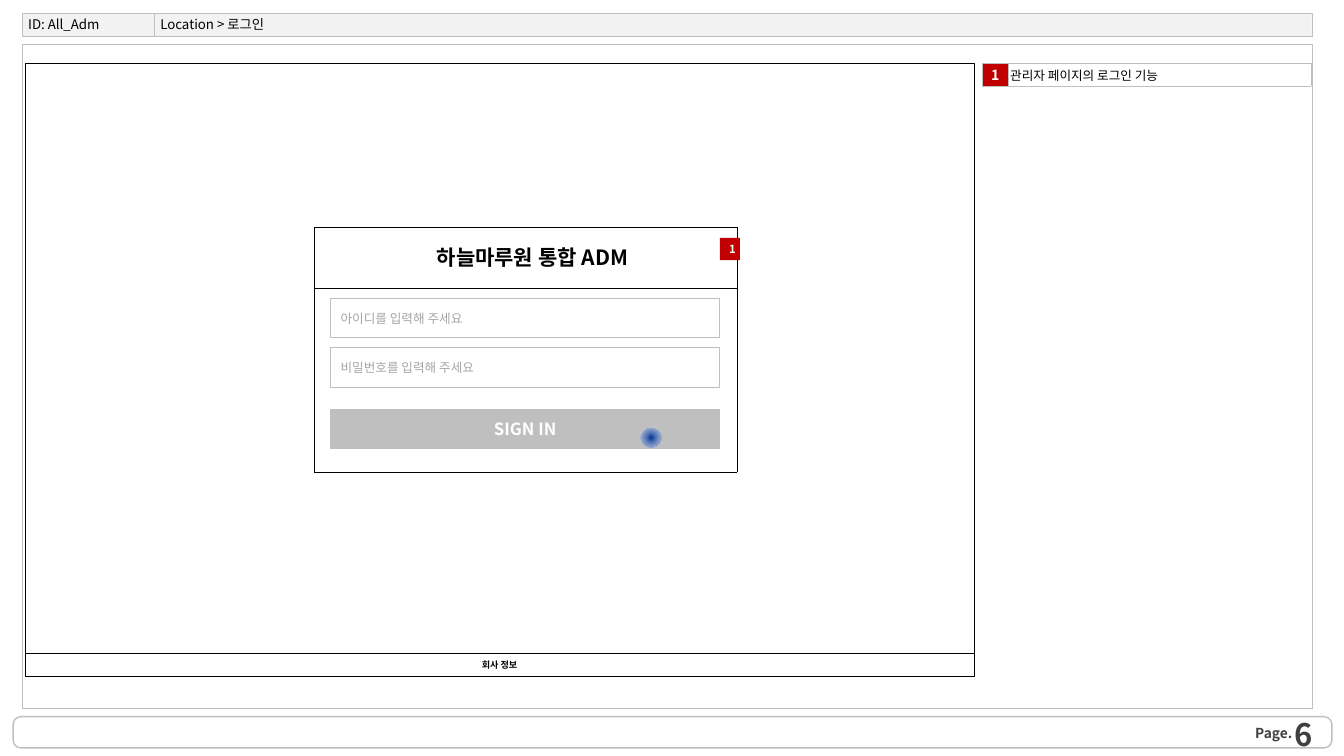
from lxml import etree
from pptx import Presentation
from pptx.dml.color import RGBColor
from pptx.enum import shapes, text
from pptx.oxml import ns
from pptx.util import Inches, Pt

FONT = "Noto Sans CJK KR"
BLACK = RGBColor(0x00, 0x00, 0x00)
WHITE = RGBColor(0xFF, 0xFF, 0xFF)
DARK = RGBColor(0x40, 0x40, 0x40)
HINT = RGBColor(0xA6, 0xA6, 0xA6)
GREY = RGBColor(0xBF, 0xBF, 0xBF)
PALE = RGBColor(0xF2, 0xF2, 0xF2)
RED = RGBColor(0xC0, 0x00, 0x00)
CORE = RGBColor(0x00, 0x33, 0x99)
GLOW = RGBColor(0xC2, 0xD1, 0xED)

SCREEN_ID = "ID: All_Adm"
LOCATION = "Location > 로그인"
LOGIN_TITLE = "하늘마루원 통합 ADM"
HINTS = ["아이디를 입력해 주세요", "비밀번호를 입력해 주세요"]
SIGN_IN = "SIGN IN"
COMPANY = "회사 정보"
NOTES = [("1", "관리자 페이지의 로그인 기능")]
PAGE_LABEL, PAGE_NUMBER = "Page.", "6"

LEFT, CENTER, RIGHT = text.PP_ALIGN.LEFT, text.PP_ALIGN.CENTER, text.PP_ALIGN.RIGHT
MIDDLE = text.MSO_ANCHOR.MIDDLE
RECT = shapes.MSO_SHAPE.RECTANGLE

prs = Presentation()
prs.slide_width, prs.slide_height = Inches(13.33), Inches(7.5)
slide = prs.slides.add_slide(prs.slide_layouts[5])


def write(frame, words, size, color=BLACK, bold=False, align=LEFT):
    paragraph = frame.paragraphs[0]
    paragraph.alignment = align
    run = paragraph.add_run()
    run.text = words
    run.font.size, run.font.bold, run.font.name = Pt(size), bold, FONT
    run.font.color.rgb = color
    etree.SubElement(run.font._element, ns.qn("a:ea"), typeface=FONT)


def set_frame(frame, insets):
    frame.word_wrap = True
    frame.auto_size = text.MSO_AUTO_SIZE.NONE
    frame.vertical_anchor = MIDDLE
    (frame.margin_left, frame.margin_top,
     frame.margin_right, frame.margin_bottom) = map(Inches, insets)


def box(at, fill=None, line=None, width=0.25, kind=RECT):
    shape = slide.shapes.add_shape(kind, *map(Inches, at))
    shape.shadow.inherit = False
    if fill is None:
        shape.fill.background()
    else:
        shape.fill.solid()
        shape.fill.fore_color.rgb = fill
    if line is None:
        shape.line.fill.background()
    else:
        shape.line.color.rgb = line
        shape.line.width = Pt(width)
    set_frame(shape.text_frame, (0.1, 0, 0.1, 0))
    return shape


def label(at, words, size, insets=(0, 0, 0, 0), **fmt):
    frame = slide.shapes.add_textbox(*map(Inches, at)).text_frame
    set_frame(frame, insets)
    write(frame, words, size, **fmt)


def grid(left, top, widths, heights, border):
    """Add a plain white table with thin borders on every side."""
    table = slide.shapes.add_table(
        len(heights), len(widths), Inches(left), Inches(top),
        Inches(sum(widths)), Inches(sum(heights))).table
    table.first_row = table.horz_banding = False
    for column, width in zip(table.columns, widths):
        column.width = Inches(width)
    for row, height in zip(table.rows, heights):
        row.height = Inches(height)
    for cell in table.iter_cells():
        props = cell._tc.get_or_add_tcPr()
        for side in ("a:lnL", "a:lnR", "a:lnT", "a:lnB"):
            line = etree.SubElement(props, ns.qn(side), w=str(Pt(0.25)))
            solid = etree.SubElement(line, ns.qn("a:solidFill"))
            etree.SubElement(solid, ns.qn("a:srgbClr"), val=str(border))
        cell.fill.solid()
        cell.fill.fore_color.rgb = WHITE
        cell.vertical_anchor = MIDDLE
        cell.margin_left = cell.margin_right = Inches(0.02)
        cell.margin_top = cell.margin_bottom = Inches(0.01)
    return table


def glow(shape):
    """Fill with a radial gradient that fades outwards."""
    shape.fill.gradient()
    for stop, color, position in zip(shape.fill.gradient_stops, (CORE, GLOW), (0, 1)):
        stop.color.rgb = color
        stop.position = position
    gradient = shape._element.spPr.find(ns.qn("a:gradFill"))
    outer = gradient.findall(".//" + ns.qn("a:srgbClr"))[-1]
    etree.SubElement(outer, ns.qn("a:alpha"), val="50000")
    linear = gradient.find(ns.qn("a:lin"))
    radial = etree.Element(ns.qn("a:path"), path="circle")
    etree.SubElement(radial, ns.qn("a:fillToRect"),
                     l="50000", t="50000", r="50000", b="50000")
    gradient.replace(linear, radial)


# Page frame
footer = box((0.13, 7.11, 13.08, 0.31), line=GREY, width=1,
             kind=shapes.MSO_SHAPE.ROUNDED_RECTANGLE)
footer.adjustments[0] = 0.25
box((0.22, 0.44, 12.79, 6.59), line=GREY)
for left, width, words in [(0.22, 1.31, SCREEN_ID), (1.53, 11.48, LOCATION)]:
    box((left, 0.13, width, 0.23), fill=PALE, line=GREY)
    label((left + 0.01, 0.1, width, 0.28), words, 9.5, insets=(0.05, 0, 0, 0))
label((12.45, 7.19, 0.56, 0.17), PAGE_LABEL, 9.8, color=DARK, bold=True)
label((10.01, 7.2, 3.11, 0.16), PAGE_NUMBER, 22.1, insets=(0.1, 0, 0.1, 0),
      color=DARK, bold=True, align=RIGHT)

# Screen and company strip
box((0.25, 0.63, 9.41, 6.08), line=BLACK)
company = box((0.25, 6.48, 9.41, 0.23), line=BLACK)
write(company.text_frame, COMPANY, 6.5, bold=True, align=CENTER)

# Login panel
grid(3.12, 2.25, [4.19], [0.61, 1.82], BLACK)
title = slide.shapes.title
title.left, title.top, title.width, title.height = map(Inches, (3.51, 2.36, 3.54, 0.39))
set_frame(title.text_frame, (0.1, 0, 0.1, 0))
write(title.text_frame, LOGIN_TITLE, 15, bold=True, align=CENTER)
slide.shapes._spTree.append(title.element)  # bring in front of the panel

for i, hint in enumerate(HINTS):
    field = box((3.28, 2.96 + i * 0.49, 3.86, 0.39), line=GREY, width=0.5)
    write(field.text_frame, hint, 9, color=HINT)
button = box((3.28, 4.06, 3.86, 0.39), fill=GREY, line=GREY, width=0.5)
write(button.text_frame, SIGN_IN, 12, color=WHITE, bold=True, align=CENTER)

# Notes and their marker on the screen
notes = grid(9.74, 0.63, [0.26, 3], [0.22] * len(NOTES), GREY)
for row, (number, note) in enumerate(NOTES):
    key = notes.cell(row, 0)
    key.fill.fore_color.rgb = RED
    write(key.text_frame, number, 10, color=WHITE, bold=True, align=CENTER)
    write(notes.cell(row, 1).text_frame, note, 9)
marker = box((7.14, 2.36, 0.2, 0.22), fill=RED)
set_frame(marker.text_frame, (0.05, 0, 0, 0))
write(marker.text_frame, NOTES[0][0], 8, color=WHITE, bold=True, align=CENTER)
glow(box((6.35, 4.24, 0.21, 0.2), kind=shapes.MSO_SHAPE.OVAL))

prs.save("out.pptx")
